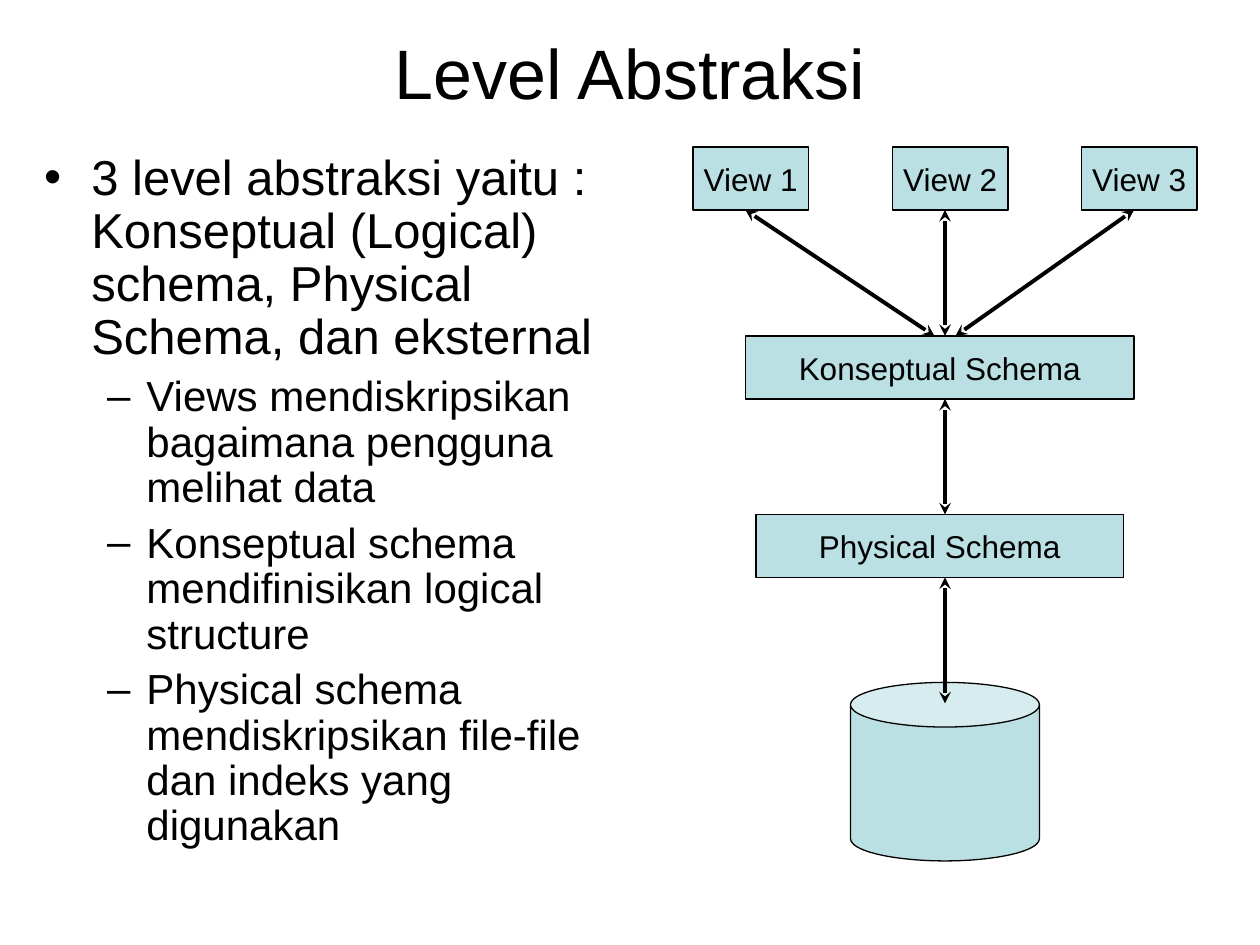
from lxml import etree
from pptx import Presentation
from pptx import util as u
from pptx.dml.color import RGBColor
from pptx.enum import shapes, text
from pptx.oxml import ns

Pt = u.Pt
INK = {"text": "000000", "line": "000000", "fill": "BBE0E3"}
POINTS = [
    (0, "3 level abstraksi yaitu : Konseptual (Logical) schema, Physical Schema, dan eksternal"),
    (1, "Views mendiskripsikan bagaimana pengguna melihat data"),
    (1, "Konseptual schema mendifinisikan logical structure"),
    (1, "Physical schema mendiskripsikan file-file dan indeks yang digunakan"),
]
STYLES = [
    {"size": 28, "left": 27, "hang": -27, "gap": 7},
    {"size": 24, "left": 58.5, "hang": -22.5, "gap": 6},
]
BOXES = [
    ("View 1", 0, 0, 66),
    ("View 2", 114, 0, 66),
    ("View 3", 222, 0, 66),
    ("Konseptual Schema", 30, 108, 222),
    ("Physical Schema", 36, 210, 210),
]
ARROWS = [
    (30, 36, 138, 108),
    (252, 36, 150, 108),
    (144, 36, 144, 108),
    (144, 144, 144, 210),
    (144, 246, 144, 318),
]


def tint(name):
    return RGBColor.from_string(INK[name])


def move(shape, box):
    shape.left, shape.top, shape.width, shape.height = map(Pt, box)


def style(para, size):
    para.font.name = "Arial"
    para.font.size = Pt(size)
    para.font.color.rgb = tint("text")


def add_title(slide, box):
    title = slide.shapes.title
    move(title, box)
    frame = title.text_frame
    frame.text = "Level Abstraksi"
    frame.auto_size = text.MSO_AUTO_SIZE.NONE
    frame.vertical_anchor = text.MSO_ANCHOR.MIDDLE
    para = frame.paragraphs[0]
    para.alignment = text.PP_ALIGN.CENTER
    style(para, 40)


def add_list(slide, box):
    body = slide.placeholders[1]
    move(body, box)
    frame = body.text_frame
    frame.auto_size = text.MSO_AUTO_SIZE.NONE
    frame.text = "\n".join(words for _, words in POINTS)
    for para, (level, _) in zip(frame.paragraphs, POINTS):
        rule = STYLES[level]
        para.level = level
        para.line_spacing = 0.9
        para.space_before = Pt(rule["gap"])
        props = para._p.get_or_add_pPr()
        props.set("marL", str(Pt(rule["left"])))
        props.set("indent", str(Pt(rule["hang"])))
        style(para, rule["size"])


def add_block(slide, kind, box):
    block = slide.shapes.add_shape(kind, *map(Pt, box))
    block.shadow.inherit = False
    block.fill.solid()
    block.fill.fore_color.rgb = tint("fill")
    block.line.color.rgb = tint("line")
    block.line.width = Pt(0.75)
    return block


def add_label(block, words):
    frame = block.text_frame
    frame.text = words
    frame.word_wrap = False
    frame.vertical_anchor = text.MSO_ANCHOR.MIDDLE
    para = frame.paragraphs[0]
    para.alignment = text.PP_ALIGN.CENTER
    style(para, 18)


def add_arrow(slide, ends):
    arrow = slide.shapes.add_connector(shapes.MSO_CONNECTOR.STRAIGHT, *map(Pt, ends))
    arrow.line.color.rgb = tint("line")
    arrow.line.width = Pt(2.25)
    line = arrow.line._get_or_add_ln()
    for end in ("a:headEnd", "a:tailEnd"):
        etree.SubElement(line, ns.qn(end), type="stealth")
    etree.SubElement(arrow._element.spPr, ns.qn("a:effectLst"))


def add_diagram(slide, left, top):
    kinds = shapes.MSO_SHAPE
    for words, x, y, width in BOXES:
        block = add_block(slide, kinds.RECTANGLE, (left + x, top + y, width, 36))
        add_label(block, words)
    add_block(slide, kinds.CAN, (left + 90, top + 306, 108, 102))
    for x1, y1, x2, y2 in ARROWS:
        add_arrow(slide, (left + x1, top + y1, left + x2, top + y2))


def main():
    deck = Presentation()
    deck.slide_width, deck.slide_height = Pt(720), Pt(540)
    slide = deck.slides.add_slide(deck.slide_layouts[1])
    add_title(slide, (36, 21.6, 648, 38))
    add_list(slide, (18, 84, 330, 444))
    add_diagram(slide, 396, 84)
    deck.save("out.pptx")


if __name__ == "__main__":
    main()
